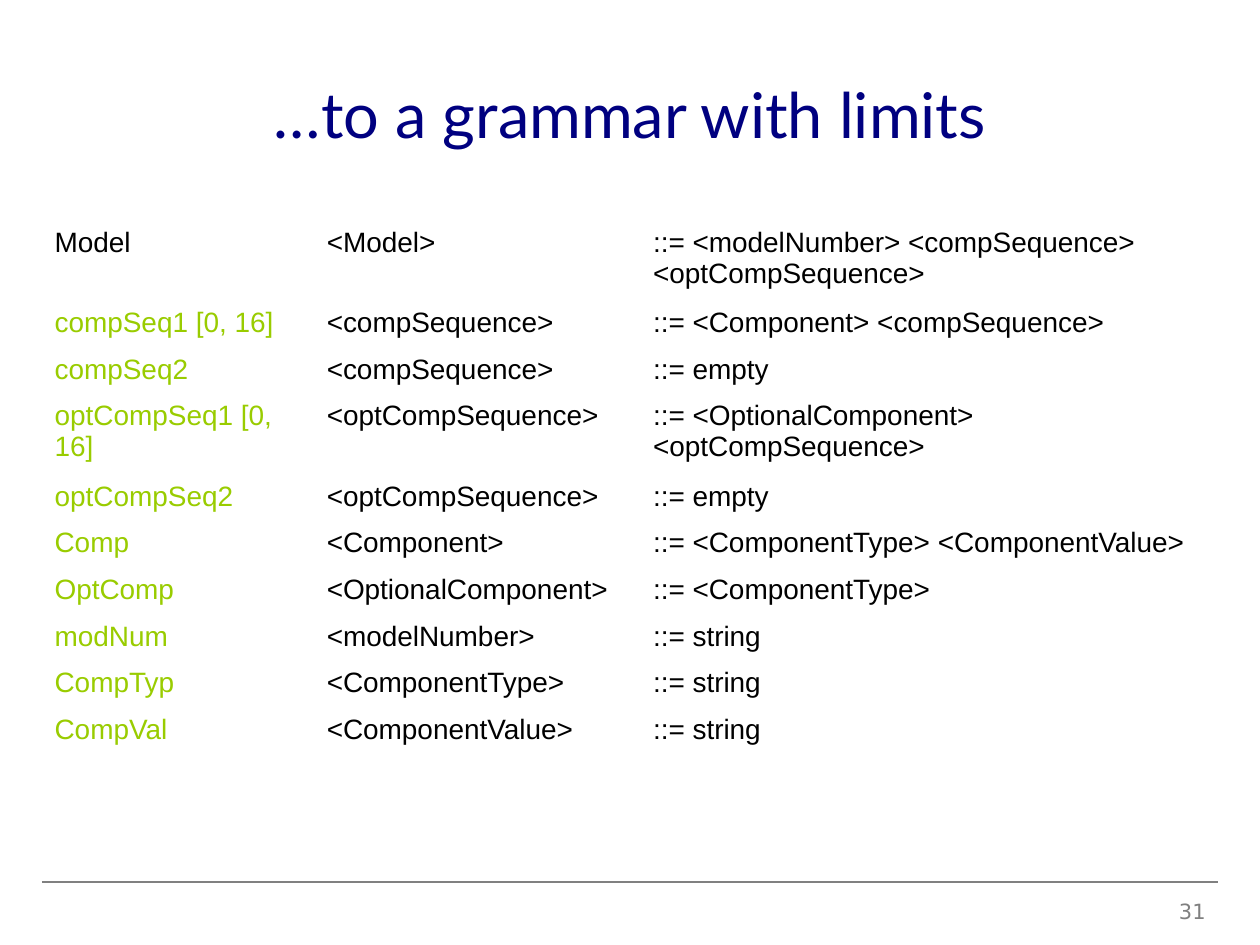
from typing import NamedTuple

from lxml.etree import SubElement
from pptx import Presentation
from pptx.dml.color import RGBColor
from pptx.enum.shapes import MSO_CONNECTOR as Connector
from pptx.enum.text import MSO_ANCHOR as Anchor, PP_ALIGN as Align
from pptx.oxml.ns import qn
from pptx.util import Inches, Pt

WIDTH, HEIGHT = 10, 7.5
MARGIN = WIDTH / 30
COLORS = {"title": "000080", "text": "000000", "limited": "99CC00", "footer": "808080"}


class Style(NamedTuple):
    font: str
    size: int
    color: str


class Rule(NamedTuple):
    name: str
    symbol: str
    expansion: str
    height: float = 0.37
    name_color: str = "limited"


TITLE = Style("Lato", 36, "title")
NUMBER = Style("DejaVu Sans", 12, "footer")
TALL = 0.64  # row holding two lines
COLUMNS = (2.16, 2.59, 4.58)
RULES = (
    Rule("Model", "<Model>", "::= <modelNumber> <compSequence> <optCompSequence>", TALL, "text"),
    Rule("compSeq1 [0, 16]", "<compSequence>", "::= <Component> <compSequence>"),
    Rule("compSeq2", "<compSequence>", "::= empty"),
    Rule("optCompSeq1 [0, 16]", "<optCompSequence>",
         "::= <OptionalComponent> <optCompSequence>", TALL),
    Rule("optCompSeq2", "<optCompSequence>", "::= empty"),
    Rule("Comp", "<Component>", "::= <ComponentType> <ComponentValue>"),
    Rule("OptComp", "<OptionalComponent>", "::= <ComponentType>"),
    Rule("modNum", "<modelNumber>", "::= string"),
    Rule("CompTyp", "<ComponentType>", "::= string"),
    Rule("CompVal", "<ComponentValue>", "::= string", 0.43),
)


def write(text_frame, text: str, style: Style, align=Align.LEFT) -> None:
    paragraph = text_frame.paragraphs[0]
    paragraph.alignment = align
    run = paragraph.add_run()
    run.text = text
    run.font.name = style.font
    run.font.size = Pt(style.size)
    run.font.color.rgb = RGBColor.from_string(COLORS[style.color])


def add_title(slide, text: str) -> None:
    title = slide.shapes.title
    title.left, title.top = Inches(WIDTH * 0.05), Inches(HEIGHT * 0.04)
    title.width, title.height = Inches(WIDTH * 0.9), Inches(HEIGHT * 0.16)
    title.text_frame.vertical_anchor = Anchor.MIDDLE
    write(title.text_frame, text, TITLE, Align.CENTER)


def add_grammar(slide, rules: tuple[Rule, ...]) -> None:
    frame = slide.shapes.add_table(
        len(rules), len(COLUMNS), Inches(MARGIN), Inches(1.75),
        Inches(sum(COLUMNS)), Inches(sum(rule.height for rule in rules)))
    table = frame.table
    table.first_row = table.horz_banding = False
    for column, width in zip(table.columns, COLUMNS):
        column.width = Inches(width)
    for row, rule in zip(table.rows, rules):
        row.height = Inches(rule.height)
        texts = (rule.name, rule.symbol, rule.expansion)
        colors = (rule.name_color, "text", "text")
        for cell, text, color in zip(row.cells, texts, colors):
            cell.fill.background()
            write(cell.text_frame, text, Style("Arial", 16, color))


def add_footer(slide, number: str) -> None:
    line = slide.shapes.add_connector(
        Connector.STRAIGHT, Inches(MARGIN), Inches(7), Inches(WIDTH - MARGIN), Inches(7))
    line.line.color.rgb = RGBColor.from_string(COLORS["footer"])
    line.line.width = Pt(0.75)
    SubElement(line._element.spPr, qn("a:effectLst"))
    width = 7 * MARGIN
    box = slide.shapes.add_textbox(
        Inches(WIDTH - MARGIN - width), Inches(7.08), Inches(width), Inches(0.27))
    box.text_frame.word_wrap = True
    write(box.text_frame, number, NUMBER, Align.RIGHT)


def main() -> None:
    presentation = Presentation()
    presentation.slide_width, presentation.slide_height = Inches(WIDTH), Inches(HEIGHT)
    slide = presentation.slides.add_slide(presentation.slide_layouts[5])
    add_title(slide, "…to a grammar with limits")
    add_grammar(slide, RULES)
    add_footer(slide, "31")
    presentation.save("out.pptx")


if __name__ == "__main__":
    main()
